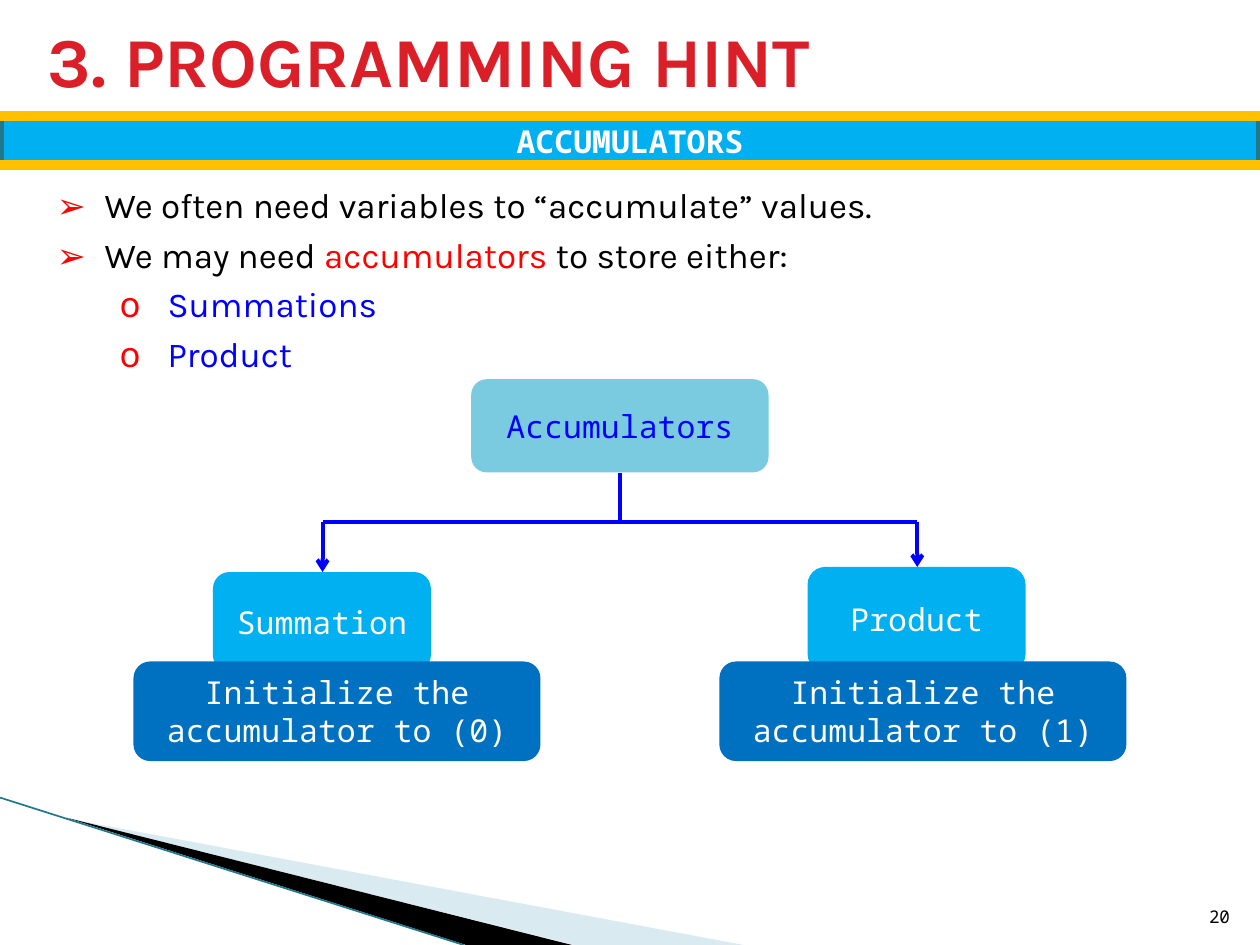
"""Build a slide on summation and product accumulators."""
from dataclasses import dataclass

from pptx import Presentation, util as u
from pptx.dml.color import RGBColor
from pptx.enum import shapes, text
from pptx.oxml.xmlchemy import OxmlElement
from pptx.slide import Slide

AL = text.PP_ALIGN
ANC = text.MSO_ANCHOR
GEO = shapes.MSO_SHAPE


@dataclass(frozen=True)
class Theme:
    head: str = "Karla"
    mono: str = "Noto Sans Mono"
    white: str = "FFFFFF"
    black: str = "000000"
    crimson: str = "DA1F28"
    red: str = "FF0000"
    blue: str = "0000FF"
    sky: str = "00B0F0"
    navy: str = "0070C0"
    aqua: str = "7ACBE0"
    teal: str = "21788D"
    gold: str = "FFC000"
    mist: str = "A0CBDC"
    haze: str = "97C5D8"
    title: int = 40
    body: int = 20
    label: int = 18
    small: int = 10


def rgb(code):
    return RGBColor.from_string(code)


def node(host, tag, **attrs):
    item = OxmlElement(tag)
    for key, val in attrs.items():
        item.set(key, str(val))
    host.append(item)
    return item


def write(par, words, font, size, color, bold=False, align=None):
    run = par.add_run()
    run.text = words
    run.font.name = font
    run.font.size = u.Pt(size)
    run.font.bold = bold
    run.font.color.rgb = rgb(color)
    if align is not None:
        par.alignment = align


@dataclass
class Deck:
    slide: Slide
    look: Theme

    def place(self, item, box):
        item.left, item.top, item.width, item.height = map(u.Inches, box)

    def title(self, words, box):
        item = self.slide.shapes.title
        self.place(item, box)
        frame = item.text_frame
        frame.auto_size = text.MSO_AUTO_SIZE.NONE
        frame.vertical_anchor = ANC.MIDDLE
        write(frame.paragraphs[0], words, self.look.head, self.look.title,
              self.look.crimson, bold=True, align=AL.LEFT)

    def bullets(self, rows, box, pitch):
        item = self.slide.placeholders[1]
        self.place(item, box)
        frame = item.text_frame
        frame.auto_size = text.MSO_AUTO_SIZE.NONE
        for i, (level, runs) in enumerate(rows):
            par = frame.add_paragraph() if i else frame.paragraphs[0]
            par.level = level
            props = par._p.get_or_add_pPr()
            props.set("marL", str(u.Inches(0.38 + 0.5 * level)))
            props.set("indent", str(-u.Inches(0.38)))
            node(node(props, "a:buClr"), "a:srgbClr", val=self.look.red)
            node(props, "a:buFont", typeface=self.look.mono)
            node(props, "a:buChar", char="➢o"[level])
            par.space_before = u.Pt(0)
            par.line_spacing = u.Pt(pitch)
            for words, color in runs:
                write(par, words, self.look.head, self.look.body, color)

    def block(self, words, box, fill, color, kind=GEO.ROUNDED_RECTANGLE,
              edge=None, bold=False):
        item = self.slide.shapes.add_shape(kind, *map(u.Inches, box))
        self.paint(item, fill)
        if edge:
            item.line.color.rgb = rgb(edge)
            item.line.width = u.Pt(4.33)
        frame = item.text_frame
        frame.word_wrap = True
        frame.vertical_anchor = ANC.MIDDLE
        write(frame.paragraphs[0], words, self.look.mono, self.look.label,
              color, bold=bold, align=AL.CENTER)

    def paint(self, item, fill):
        item.shadow.inherit = False
        item.fill.solid()
        item.fill.fore_color.rgb = rgb(fill)
        item.line.fill.background()

    def wedge(self, dots, fill, alpha=None):
        first, *rest = [tuple(map(u.Inches, dot)) for dot in dots]
        path = self.slide.shapes.build_freeform(*first)
        path.add_line_segments(rest)
        item = path.convert_to_shape()
        self.paint(item, fill)
        if alpha:
            tint = item._element.spPr.find(".//{*}srgbClr")
            node(tint, "a:alpha", val=alpha * 1000)

    def line(self, start, end, color, width, arrow=False):
        item = self.slide.shapes.add_connector(
            shapes.MSO_CONNECTOR.STRAIGHT, *map(u.Inches, (*start, *end)))
        item.line.color.rgb = rgb(color)
        item.line.width = u.Pt(width)
        if arrow:
            node(item.line._get_or_add_ln(), "a:tailEnd", type="arrow")
        node(item._element.spPr, "a:effectLst")

    def number(self, words, box):
        item = self.slide.shapes.add_textbox(*map(u.Inches, box))
        frame = item.text_frame
        frame.word_wrap = True
        frame.vertical_anchor = ANC.BOTTOM
        write(frame.paragraphs[0], words, self.look.mono, self.look.small,
              self.look.black, align=AL.RIGHT)


def main():
    show = Presentation()
    show.slide_width, show.slide_height = u.Inches(10), u.Inches(7.5)
    look = Theme()
    deck = Deck(show.slides.add_slide(show.slide_layouts[1]), look)

    deck.wedge([(0.55, 6.5), (5.9, 7.5), (4.56, 7.5)], look.mist, alpha=40)
    deck.wedge([(0.53, 6.49), (4.54, 7.5), (3.7, 7.5)], look.black)
    deck.line((0, 6.33), (3.68, 7.5), look.teal, 0.95)

    deck.title("3. PROGRAMMING HINT", (0.28, 0.05, 9.53, 0.85))
    deck.block("ACCUMULATORS", (0, 0.92, 10, 0.39), look.sky, look.white,
               kind=GEO.RECTANGLE, edge=look.teal, bold=True)
    for y in (0.92, 1.31):
        deck.line((0, y), (10, y), look.gold, 6)

    deck.bullets([
        (0, [("We often need variables to “accumulate” values.", look.black)]),
        (0, [("We may need ", look.black), ("accumulators ", look.red),
             ("to store either:", look.black)]),
        (1, [("Summations", look.blue)]),
        (1, [("Product", look.blue)]),
    ], (0.35, 1.35, 9.45, 1.66), pitch=28.3)

    mid, bar = 4.92, 4.14
    deck.block("Accumulators", (mid - 1.18, 3.01, 2.36, 0.74),
               look.aqua, look.blue)
    deck.line((mid, 3.75), (mid, bar), look.blue, 2.25)
    for name, seed, x, top, left in (("Summation", 0, 2.56, 4.54, 1.06),
                                     ("Product", 1, 7.28, 4.5, 5.71)):
        deck.block(name, (x - 0.87, top, 1.73, 5.33 - top),
                   look.sky, look.white)
        deck.line((mid, bar), (x, bar), look.blue, 2.25)
        deck.line((x, bar), (x, top), look.blue, 2.25, arrow=True)
        deck.block(f"Initialize the accumulator to ({seed})",
                   (left, 5.25, 3.23, 0.79), look.navy, look.white)

    deck.number("20", (9.46, 7.01, 0.4, 0.4))
    show.save("out.pptx")


if __name__ == "__main__":
    main()
